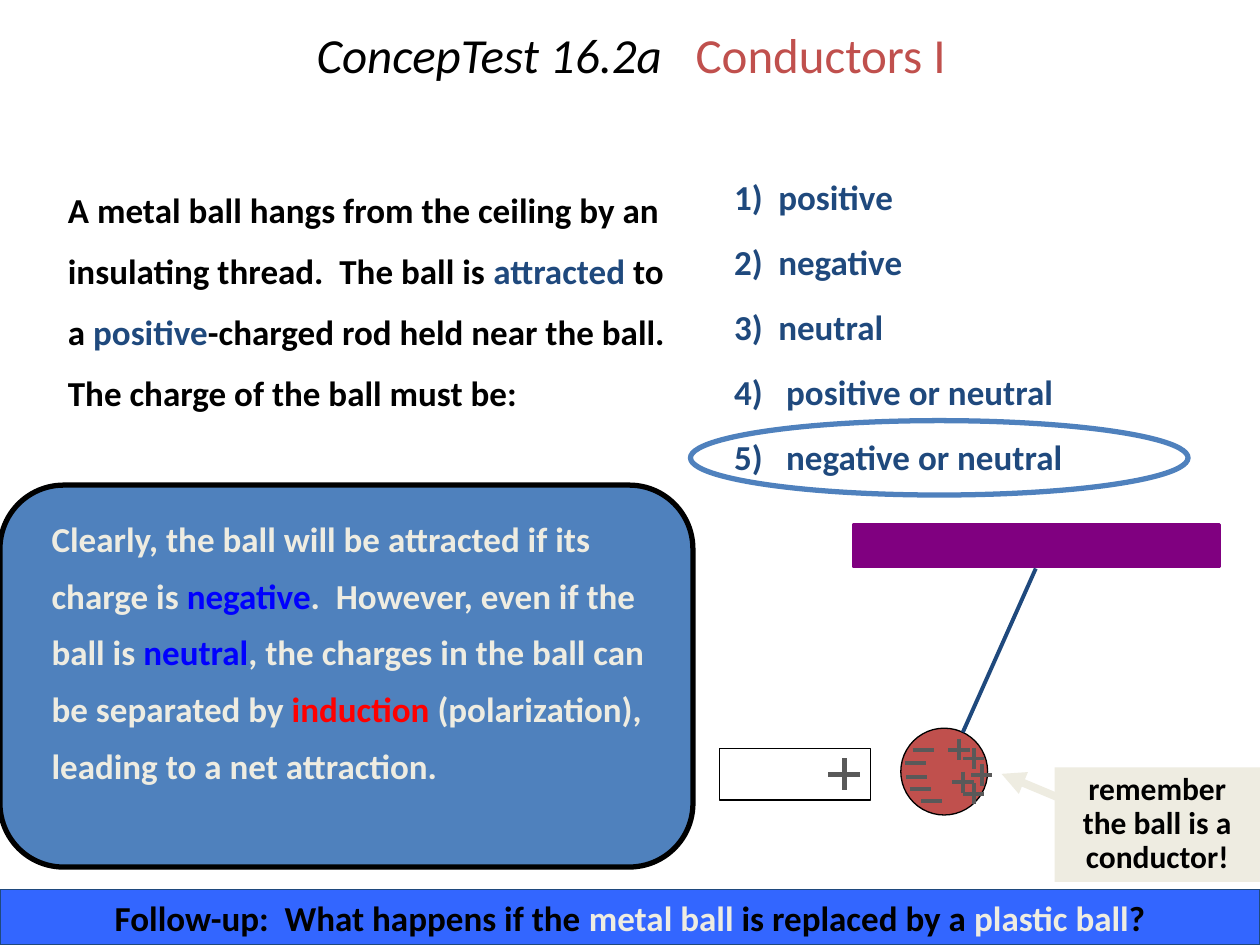
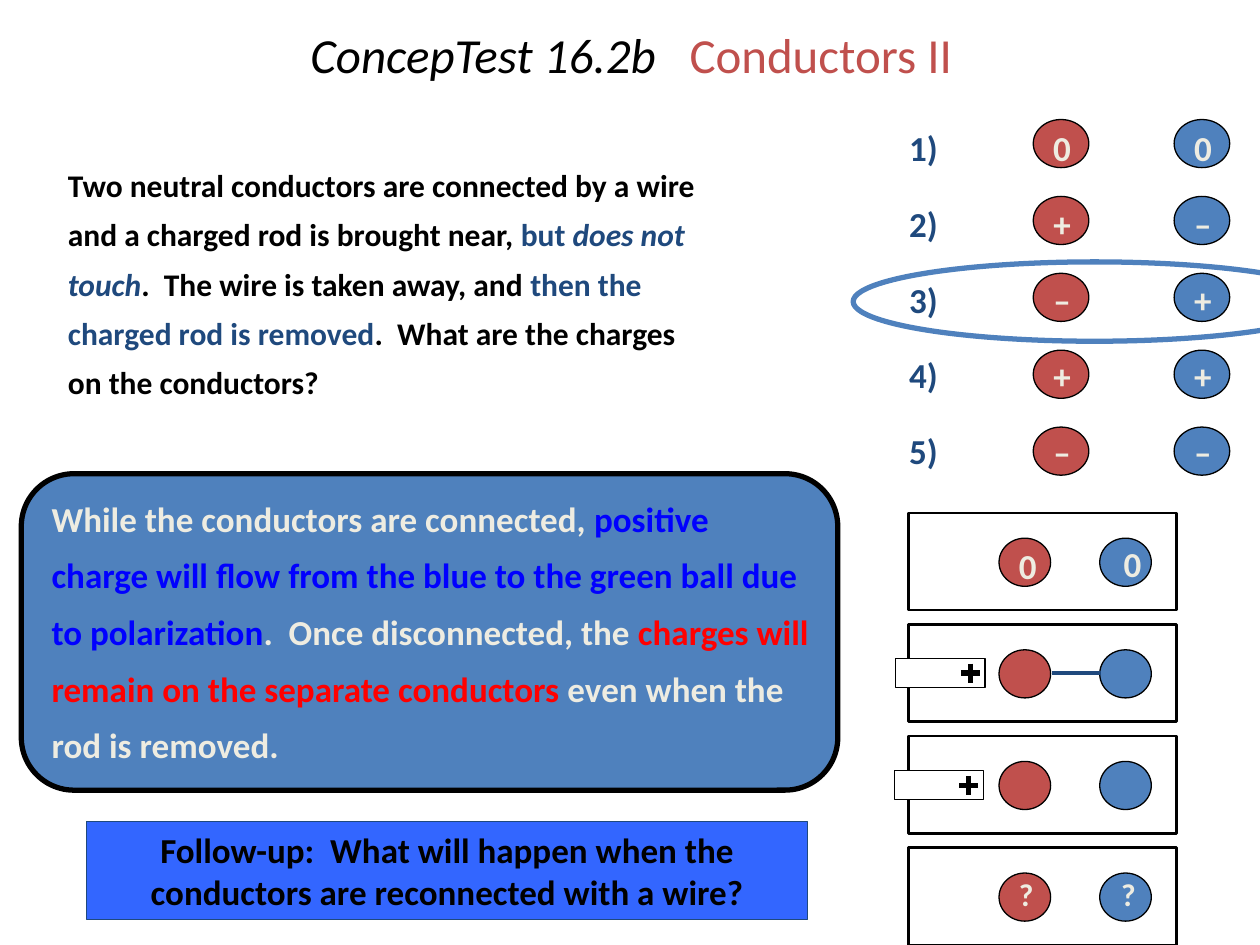
from lxml.etree import SubElement
from pptx import Presentation
from pptx.dml.color import RGBColor
from pptx.enum.shapes import MSO_CONNECTOR, MSO_SHAPE
from pptx.enum.text import MSO_ANCHOR, PP_ALIGN
from pptx.oxml.ns import qn
from pptx.util import Cm, Pt

# Shared look
FONT = "Calibri"
BLACK, WHITE, GREY = "000000", "FFFFFF", "595959"
NAVY, BLUE, RED, CREAM = "1F497D", "4F81BD", "C0504D", "EEECE1"
PURE_BLUE, PURE_RED, PURPLE, BAND = "0000FF", "FF0000", "800080", "3366FF"


def color(code):
    return RGBColor.from_string(code)


# Text
def add_span(para, text, code, size=20, bold=True, italic=False, spacing=0):
    span = para.add_run()
    span.text = text
    font = span.font
    font.name, font.size = FONT, Pt(size)
    font.bold, font.italic = bold, italic
    font.color.rgb = color(code)
    if spacing:
        span.font._element.set("spc", str(spacing * 100))


def add_para(frame, spans, size=20, line=1.0, before=0, left=0, hanging=0,
             align=PP_ALIGN.LEFT):
    """Fill the empty first paragraph, or append one; spans are (text, colour[, italic])."""
    first = frame.paragraphs[0]
    para = frame.add_paragraph() if first.runs else first
    para.alignment, para.line_spacing = align, line
    para.space_before = Pt(before)
    properties = para._p.get_or_add_pPr()
    properties.set("marL", str(Cm(left)))
    properties.set("indent", str(-Cm(hanging)))
    for text, code, *italic in spans:
        add_span(para, text, code, size, italic=bool(italic))


def add_box(page, left, top, width, height, anchor=MSO_ANCHOR.TOP):
    box = page.shapes.add_textbox(Cm(left), Cm(top), Cm(width), Cm(height))
    frame = box.text_frame
    frame.word_wrap = True
    frame.vertical_anchor = anchor
    return frame


def add_title(page, number, topic):
    frame = add_box(page, 2.59, 0, 20.27, 2.34, MSO_ANCHOR.MIDDLE)
    para = frame.paragraphs[0]
    para.alignment, para.line_spacing = PP_ALIGN.CENTER, 0.9
    add_span(para, f"ConcepTest {number}", BLACK, 28, False, True)
    add_span(para, " ", BLACK, 28, False, True, spacing=13)
    add_span(para, topic, RED, 28, False)


def add_label(page, text, left, top, size=20, width=0.95, align=PP_ALIGN.LEFT):
    frame = add_box(page, left, top, width, 0.95)
    add_para(frame, [(text, CREAM)], size, line=0.9, align=align)


# Shapes and lines
def add_figure(page, kind, left, top, width, height, fill=None, line=None, weight=0.75):
    figure = page.shapes.add_shape(kind, Cm(left), Cm(top), Cm(width), Cm(height))
    figure.shadow.inherit = False
    if fill:
        figure.fill.solid()
        figure.fill.fore_color.rgb = color(fill)
    else:
        figure.fill.background()
    if line:
        figure.line.color.rgb = color(line)
        figure.line.width = Pt(weight)
    else:
        figure.line.fill.background()
    return figure


def add_ball(page, left, top, width, height, fill):
    add_figure(page, MSO_SHAPE.OVAL, left, top, width, height, fill, BLACK)


def add_line(page, start, end, code, weight, arrow=False):
    line = page.shapes.add_connector(
        MSO_CONNECTOR.STRAIGHT, *(Cm(value) for value in (*start, *end)))
    line.line.color.rgb = color(code)
    line.line.width = Pt(weight)
    if arrow:
        SubElement(line.line._get_or_add_ln(), qn("a:tailEnd"), type="triangle")
    SubElement(line._element.spPr, qn("a:effectLst"))


def add_minus(page, x, y, size, code=GREY, weight=2.25):
    add_line(page, (x - size / 2, y), (x + size / 2, y), code, weight)


def add_plus(page, x, y, size, code=GREY, weight=2.25):
    add_minus(page, x, y, size, code, weight)
    add_line(page, (x, y - size / 2), (x, y + size / 2), code, weight)


# Parts found on both pages
def add_question(page, top, width, height, spans, size, line):
    frame = add_box(page, 0, top, width, height)
    add_para(frame, spans, size, line, before=size / 2, left=1.12)


def add_explanation(page, panel, text_area, spans):
    add_figure(page, MSO_SHAPE.ROUNDED_RECTANGLE, *panel, BLUE, BLACK, 3)
    add_para(add_box(page, *text_area), spans, line=1.35, before=10, left=0.79)


def add_follow_up(page, left, top, width, height, spans):
    band = add_figure(page, MSO_SHAPE.RECTANGLE, left, top, width, height, BAND, NAVY)
    band.text_frame.word_wrap = True
    add_para(band.text_frame, spans, align=PP_ALIGN.CENTER)


def add_answer_ring(page, left, top, width, height):
    add_figure(page, MSO_SHAPE.OVAL, left, top, width, height, line=BLUE, weight=3)


# Page 1
def draw_hanging_ball(page):
    add_figure(page, MSO_SHAPE.RECTANGLE, 17.2, 10.57, 7.39, 0.86, PURPLE, PURPLE, 1.5)
    add_ball(page, 18.16, 14.68, 1.75, 1.75, RED)
    add_line(page, (19.41, 14.76), (20.88, 11.46), NAVY, 2.25)
    add_figure(page, MSO_SHAPE.RECTANGLE, 14.5, 15.09, 3.05, 1.04, WHITE, BLACK)
    add_plus(page, 17.02, 15.61, 0.65, weight=3)
    for x, y in ((19.41, 15.77), (19.33, 15.11), (19.63, 16.0), (19.79, 15.62), (19.63, 15.29)):
        add_plus(page, x, y, 0.43)
    for x, y in ((18.61, 15.11), (18.45, 15.39), (18.48, 15.67), (18.55, 15.9), (18.78, 16.15)):
        add_minus(page, x, y, 0.43)


def draw_reminder(page):
    note = add_figure(page, MSO_SHAPE.RECTANGLE, 21.26, 15.47, 4.14, 2.31, CREAM)
    note.text_frame.word_wrap = True
    add_para(note.text_frame, [("remember the ball is a conductor!", BLACK)],
             18, 0.9, align=PP_ALIGN.CENTER)
    add_line(page, (21.46, 16.13), (20.19, 15.6), CREAM, 4.5, arrow=True)


def build_conductors_one(page):
    add_explanation(page, (0, 9.78, 13.97, 7.7), (0, 10.01, 13.82, 7.21), [
        ("Clearly, the ball will be attracted if its charge is ", CREAM),
        ("negative", PURE_BLUE),
        (".  However, even if the ball is ", CREAM),
        ("neutral", PURE_BLUE),
        (", the charges in the ball can be separated by ", CREAM),
        ("induction", PURE_RED),
        (" (polarization), leading to a net attraction.", CREAM)])
    add_answer_ring(page, 13.92, 8.48, 10.03, 1.5)
    choices = add_box(page, 14.55, 3.15, 9.55, 7.19)
    answers = (("positive", 0.89), ("negative", 0.89), ("neutral", 0.89),
               ("positive or neutral", 1.05), ("negative or neutral", 1.05))
    for number, (answer, indent) in enumerate(answers, 1):
        add_para(choices, [(f"{number})\t{answer}", NAVY)], line=1.3, before=6,
                 left=indent, hanging=indent)
    draw_hanging_ball(page)
    add_title(page, "16.2a", "Conductors I")
    add_question(page, 3.3, 13.84, 6.17, [
        ("A metal ball hangs from the ceiling by an insulating thread.  The ball is ", BLACK),
        ("attracted", NAVY),
        (" to a ", BLACK),
        ("positive", NAVY),
        ("-charged rod held near the ball.  The charge of the ball must be:", BLACK)],
        20, 1.45)
    draw_reminder(page)
    add_follow_up(page, 0, 17.93, 25.4, 1.12, [
        ("Follow-up:  What happens if the ", BLACK),
        ("metal ball", CREAM),
        (" is replaced by a ", BLACK),
        ("plastic ball", CREAM),
        ("?", BLACK)])


# Page 2
def draw_choices(page):
    charges = (("0", "0"), ("+", "–"), ("–", "+"), ("+", "+"), ("–", "–"))
    numbers = add_box(page, 18.08, 2.53, 2.0, 7.11)
    for row, pair in enumerate(charges):
        add_para(numbers, [(f"{row + 1})", NAVY)], line=0.9, before=21.6 if row else 0)
        for charge, left, fill in zip(pair, (20.83, 23.67), (RED, BLUE)):
            add_ball(page, left, 2.41 + 1.55 * row, 1.12, 0.97, fill)
            add_label(page, charge, left, 2.53 + 1.53 * row, width=1.16,
                      align=PP_ALIGN.CENTER)
    add_answer_ring(page, 17.2, 5.28, 9.73, 1.6)


def draw_stages(page):
    for stage in range(4):
        drop = 2.25 * stage
        for left, fill in ((20.14, RED), (22.17, BLUE)):
            add_ball(page, left, 10.85 + drop, 1.04, 0.97, fill)
        add_figure(page, MSO_SHAPE.RECTANGLE, 18.31, 10.34 + drop, 5.41, 1.96,
                   line=BLACK, weight=1.5)
    # Charged rod near the balls, with and without the wire
    for left, top in ((18.06, 13.28), (18.03, 15.54)):
        add_figure(page, MSO_SHAPE.RECTANGLE, left, top, 1.8, 0.58, WHITE, BLACK)
        add_plus(page, left + 1.5, top + 0.29, 0.38, BLACK, 3)
    add_line(page, (21.21, 13.56), (22.2, 13.56), NAVY, 2.25)
    add_label(page, "0", 20.29, 10.95)
    add_label(page, "0", 22.4, 10.9)
    add_label(page, "?", 20.29, 17.6, 18)
    add_label(page, "?", 22.35, 17.6, 18)


def build_conductors_two(page):
    add_explanation(page, (0.43, 9.55, 16.46, 6.38), (0, 9.6, 16.61, 6.07), [
        ("While the conductors are connected, ", CREAM),
        ("positive charge will flow from the blue to the green ball due to polarization",
         PURE_BLUE),
        (".  Once disconnected, the ", CREAM),
        ("charges will remain on the separate conductors", PURE_RED),
        (" even when the rod is removed.", CREAM)])
    add_title(page, "16.2b", "Conductors II")
    add_question(page, 3.0, 14.5, 7.06, [
        ("Two neutral conductors are connected by a wire and a charged rod is brought near, ",
         BLACK),
        ("but ", NAVY),
        ("does not touch", NAVY, True),
        (".  The wire is taken away, and ", BLACK),
        ("then the charged rod is removed", NAVY),
        (".  What are the charges on the conductors?", BLACK)],
        18, 1.3)
    draw_choices(page)
    draw_stages(page)
    add_follow_up(page, 1.75, 16.56, 14.53, 1.98, [
        ("Follow-up:  What will happen when the conductors are reconnected with a wire?",
         BLACK)])


def main():
    deck = Presentation()
    deck.slide_width, deck.slide_height = Cm(25.4), Cm(19.05)
    blank = deck.slide_layouts[6]
    for build in (build_conductors_one, build_conductors_two):
        build(deck.slides.add_slide(blank))
    deck.save("out.pptx")


if __name__ == "__main__":
    main()
